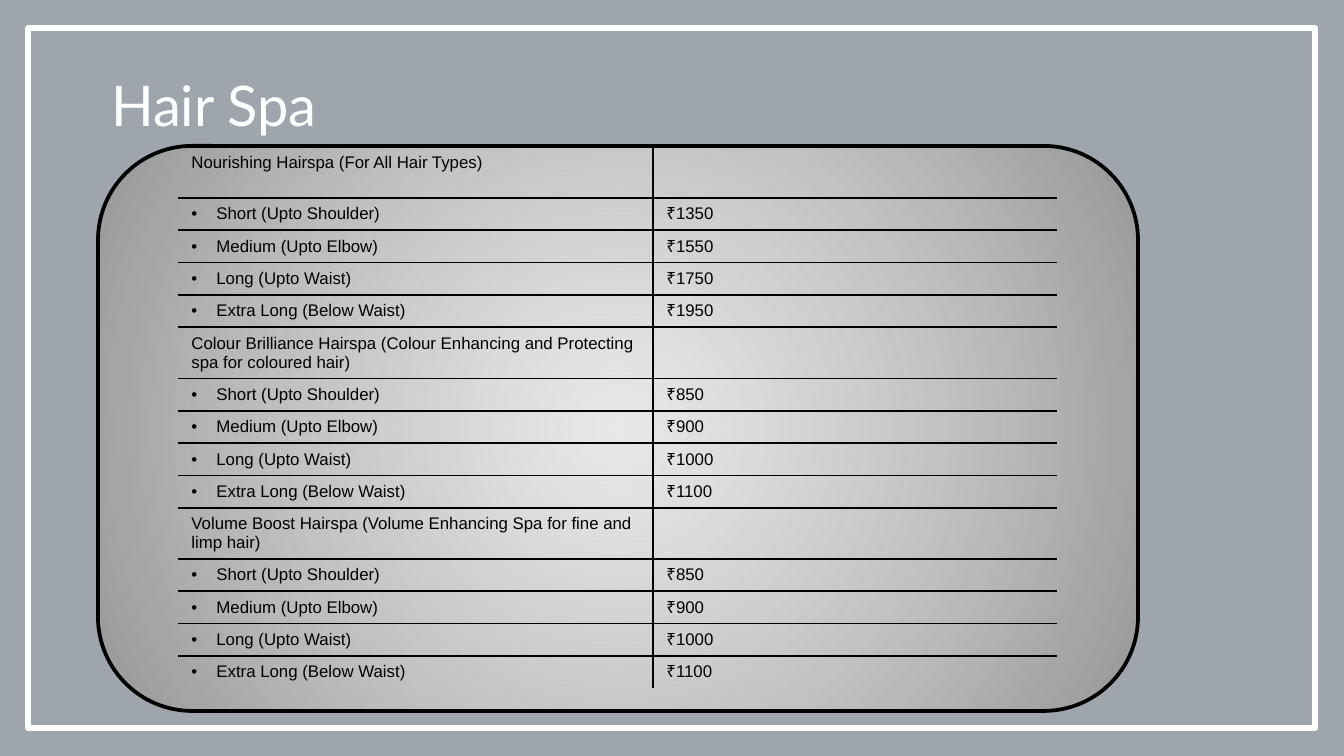
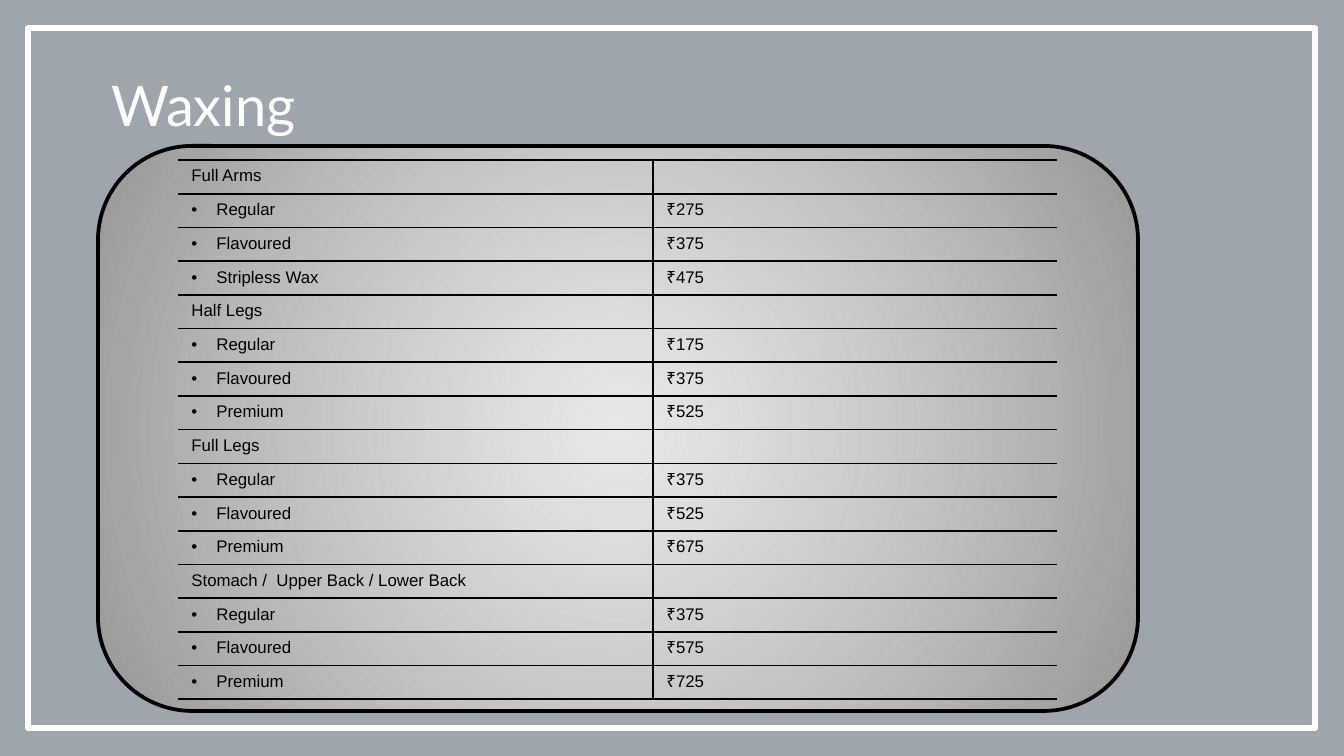
from lxml import etree
from pptx import Presentation
from pptx import util as u
from pptx.dml.color import RGBColor
from pptx.enum import shapes
from pptx.oxml import parse_xml
from pptx.oxml.ns import nsdecls, qn

PX = 9144000 / 1344
COLORS = {"tint": "021526", "white": "FFFFFF", "edge": "979797", "ink": "000000"}
NO_GRID = "{2D5ABB26-0587-4C30-8999-92F81FD0307C}"
LENGTHS = ["Short (Upto Shoulder)", "Medium (Upto Elbow)", "Long (Upto Waist)",
           "Extra Long (Below Waist)"]
WAXES = ["Regular", "Flavoured", "Premium"]
PANEL = (98, 146, 1040, 565)
ROW = 32
TALL_ROW = 51

HAIR_SPA = [
    ("Nourishing Hairspa (For All Hair Types)", TALL_ROW, LENGTHS, [1350, 1550, 1750, 1950]),
    ("Colour Brilliance Hairspa (Colour Enhancing and Protecting spa for coloured hair)",
     TALL_ROW, LENGTHS, [850, 900, 1000, 1100]),
    ("Volume Boost Hairspa (Volume Enhancing Spa for fine and limp hair)",
     TALL_ROW, LENGTHS, [850, 900, 1000, 1100]),
]
WAXING = [
    ("Full Arms", ROW, ["Regular", "Flavoured", "Stripless Wax"], [275, 375, 475]),
    ("Half Legs", ROW, WAXES, [175, 375, 525]),
    ("Full Legs", ROW, WAXES, [375, 525, 675]),
    ("Stomach /  Upper Back / Lower Back", ROW, WAXES, [375, 575, 725]),
]


def px(n):
    return u.Emu(round(n * PX))


def rgb(name):
    return RGBColor.from_string(COLORS[name])


def add_box(s, kind, box, line=None, width=0):
    sp = s.shapes.add_shape(kind, *map(px, box))
    sp.shadow.inherit = False
    sp.fill.background()
    if line:
        sp.line.color.rgb = rgb(line)
        sp.line.width = u.Pt(width)
    else:
        sp.line.fill.background()
    return sp


def add_backdrop(s, layout):
    tint = add_box(s, shapes.MSO_SHAPE.RECTANGLE, (0, 0, 1344, 758))
    tint.fill.solid()
    tint.fill.fore_color.rgb = rgb("tint")
    clr = tint.element.spPr.find(qn("a:solidFill"))[0]
    etree.SubElement(clr, qn("a:alpha"), val="38000")
    frame = add_box(s, shapes.MSO_SHAPE.RECTANGLE, (28, 28, 1287, 700), "white", 3)
    for sp in (tint, frame):
        layout.shapes.element.append(sp.element)


def add_panel(s, box):
    sp = add_box(s, shapes.MSO_SHAPE.ROUNDED_RECTANGLE, box, "ink", 2)
    grad = parse_xml(
        f'<a:gradFill {nsdecls("a")} rotWithShape="1"><a:gsLst>'
        f'<a:gs pos="0"><a:srgbClr val="{COLORS["white"]}"><a:alpha val="75000"/></a:srgbClr></a:gs>'
        f'<a:gs pos="100000"><a:srgbClr val="{COLORS["edge"]}"/></a:gs></a:gsLst>'
        '<a:path path="circle"><a:fillToRect l="50000" t="50000" r="50000" b="50000"/></a:path>'
        '</a:gradFill>')
    spPr = sp.element.spPr
    spPr.replace(spPr.find(qn("a:noFill")), grad)


def add_title(s, title, box):
    tf = s.shapes.add_textbox(*map(px, box)).text_frame
    tf.word_wrap = True
    tf.text = title
    font = tf.paragraphs[0].runs[0].font
    font.name, font.size = "Lato", u.Pt(30)
    font.color.rgb = rgb("white")


def fill_cell(cell, words, bullet, sides):
    tcPr = cell._tc.get_or_add_tcPr()
    for side in sides:
        tcPr.append(parse_xml(
            f'<a:ln{side} {nsdecls("a")} w="12700"><a:solidFill>'
            f'<a:srgbClr val="{COLORS["ink"]}"/></a:solidFill></a:ln{side}>'))
    cell.fill.background()
    p = cell.text_frame.paragraphs[0]
    if not words:
        etree.SubElement(p._p, qn("a:endParaRPr"), sz="900")
        return
    p.text = words
    if bullet:
        pPr = p._p.get_or_add_pPr()
        pPr.set("marL", str(px(25)))
        pPr.set("indent", str(px(-25)))
        etree.SubElement(pPr, qn("a:buFont"), typeface="Arial")
        etree.SubElement(pPr, qn("a:buChar"), char="•")
    font = p.runs[0].font
    font.name, font.size = "Arial", u.Pt(9)
    font.color.rgb = rgb("ink")


def add_prices(s, groups, left, top, closed):
    rows = []
    for heading, height, items, prices in groups:
        rows.append((heading, "", height, False))
        rows += [(item, f"₹{price}", ROW, True) for item, price in zip(items, prices)]
    total = sum(row[2] for row in rows)
    widths = (475, 404)
    frame = s.shapes.add_table(len(rows), 2, px(left), px(top), px(sum(widths)), px(total))
    table = frame.table
    table.first_row = table.horz_banding = False
    table._tbl.tblPr.find(qn("a:tableStyleId")).text = NO_GRID
    for column, width in zip(table.columns, widths):
        column.width = px(width)
    for i, (item, price, height, bullet) in enumerate(rows):
        table.rows[i].height = px(height)
        edges = "T" if closed or i > 0 else ""
        edges += "B" if closed or i < len(rows) - 1 else ""
        fill_cell(table.cell(i, 0), item, bullet, "R" + edges)
        fill_cell(table.cell(i, 1), price, False, "L" + edges)


def add_price_list(s, title, groups, box, table_drop, closed):
    left, top, width, height = box
    add_panel(s, box)
    add_prices(s, groups, left + 80, top + table_drop, closed)
    add_title(s, title, (left, top - 82, 569, 82))


def main():
    prs = Presentation()
    prs.slide_width, prs.slide_height = px(1344), px(756)
    layout = prs.slide_layouts[6]
    spa = prs.slides.add_slide(layout)
    add_backdrop(spa, layout)
    add_price_list(spa, "Hair Spa", HAIR_SPA, PANEL, 1, False)
    waxing = prs.slides.add_slide(layout)
    add_price_list(waxing, "Waxing", WAXING, PANEL, 14, True)
    prs.save("out.pptx")


if __name__ == "__main__":
    main()
